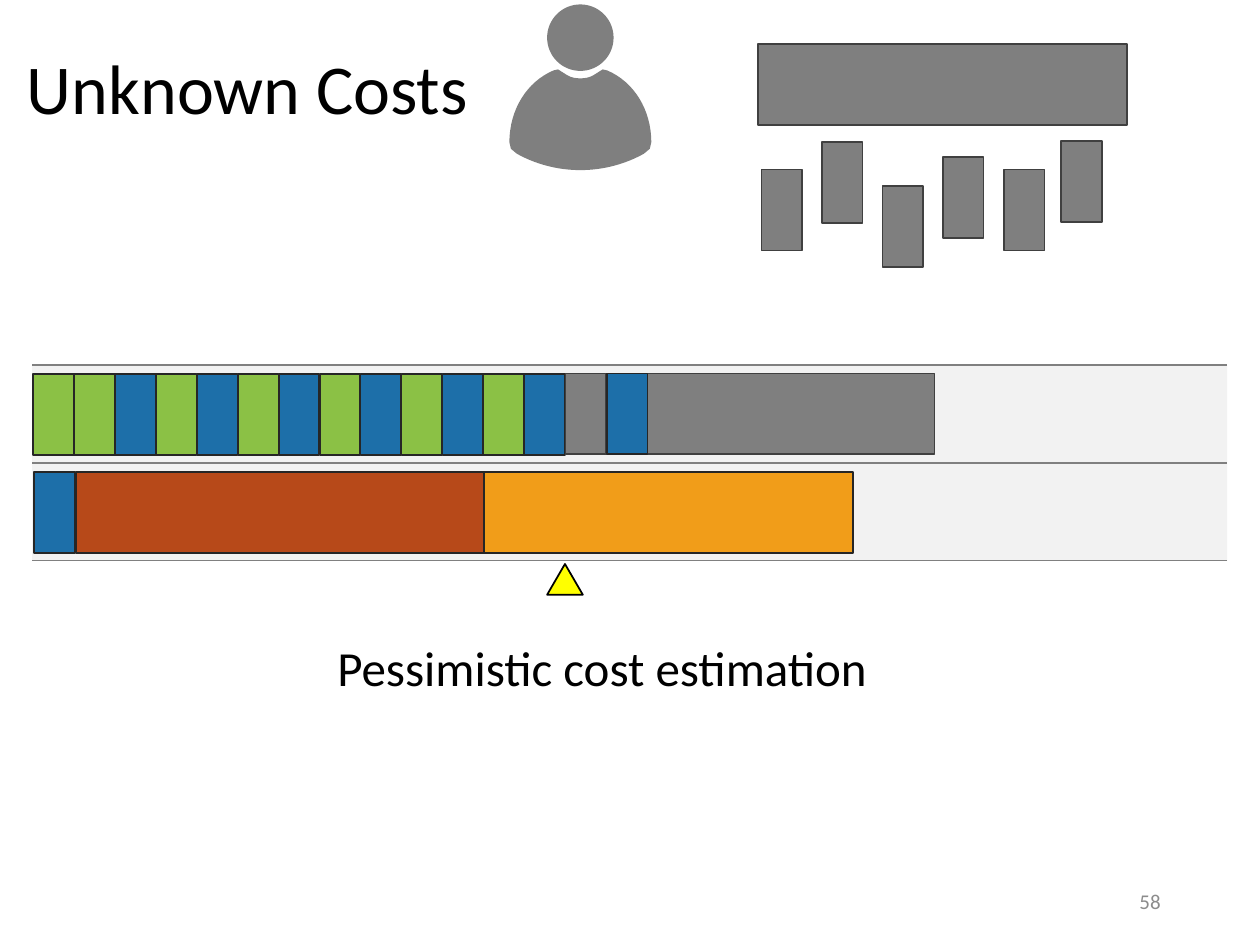
from dataclasses import dataclass
from typing import Any, NamedTuple

from lxml import etree
from pptx import Presentation
from pptx.dml.color import RGBColor
from pptx.enum import shapes as es, text as et
from pptx.oxml.ns import qn
from pptx.util import Cm, Pt


@dataclass(frozen=True)
class Theme:
    font: str = "Calibri"
    title: int = 40
    note: int = 28
    page: int = 12
    black: str = "000000"
    pale: str = "8C8C8C"
    track: str = "F2F2F2"
    rule: str = "808080"
    edge: str = "262626"
    dim: str = "404040"
    gray: str = "7F7F7F"
    green: str = "8BC145"
    blue: str = "1D6FA9"
    rust: str = "B74919"
    gold: str = "F19D19"
    mark: str = "FFFF00"


class Box(NamedTuple):
    x: float
    y: float
    w: float
    h: float


class Task(NamedTuple):
    box: Box
    fill: str
    edge: str | None


T = Theme()
STEP, CELL, HIGH, WIDE = 9.9 / 12, 0.82, 1.63, 7.44


def color(code: str) -> RGBColor:
    return RGBColor.from_string(code)


def paint(shape: Any, fill: str, edge: str | None) -> None:
    shape.shadow.inherit = False
    shape.fill.solid()
    shape.fill.fore_color.rgb = color(fill)
    if edge is None:
        shape.line.fill.background()
    else:
        shape.line.color.rgb = color(edge)
        shape.line.width = Pt(1)


def block(pool: Any, task: Task, kind: Any = es.MSO_SHAPE.RECTANGLE) -> None:
    shape = pool.add_shape(kind, *(Cm(n) for n in task.box))
    paint(shape, task.fill, task.edge)


def rule(pool: Any, x: float, y: float, w: float) -> None:
    line = pool.add_connector(es.MSO_CONNECTOR.STRAIGHT, Cm(x), Cm(y), Cm(x + w), Cm(y))
    line.line.color.rgb = color(T.rule)
    line.line.width = Pt(1)
    etree.SubElement(line._element.spPr, qn("a:effectLst"))


def write(shape: Any, box: Box, words: str, size: int, ink: str = T.black,
          side: Any = et.PP_ALIGN.LEFT, hold: Any = et.MSO_ANCHOR.TOP) -> None:
    shape.left, shape.top, shape.width, shape.height = (Cm(n) for n in box)
    frame = shape.text_frame
    frame.auto_size = et.MSO_AUTO_SIZE.NONE
    frame.word_wrap = False
    frame.vertical_anchor = hold
    para = frame.paragraphs[0]
    para.alignment = side
    run = para.add_run()
    run.text = words
    run.font.name = T.font
    run.font.size = Pt(size)
    run.font.color.rgb = color(ink)


def bend(shape: Any, kinds: str) -> None:
    """Turn line steps into the kinds named: L one line, C three steps as a curve."""
    steps = iter(list(shape._element.iter(qn("a:lnTo"))))
    for kind in kinds:
        step = next(steps)
        if kind == "C":
            step.tag = qn("a:cubicBezTo")
            for _ in range(2):
                more = next(steps)
                step.append(more[0])
                more.getparent().remove(more)


def person(pool: Any, mid: float) -> None:
    """Draw a round head above shoulders, both mirrored about the middle."""
    body = [(0, 1.58), (0.09, 1.58), (0.17, 1.57), (0.26, 1.52), (0.45, 1.4),
            (0.54, 1.42), (1.08, 1.65), (1.43, 2.21), (1.43, 2.87),
            (1.4, 3), (1.28, 3.1), (0.92, 3.3), (0.48, 3.43), (0, 3.43)]
    head = [(0, 0.09), (0.37, 0.09), (0.67, 0.39), (0.67, 0.76),
            (0.67, 1.13), (0.37, 1.43), (0, 1.43)]
    loops = []
    for half in (body, head):
        ring = half + [(-x, y) for x, y in half[-2::-1]]
        loops.append([((mid + x) * 100, y * 100) for x, y in ring])
    pen = pool.build_freeform(*loops[0][0], scale=Cm(1) / 100)
    pen.add_line_segments(loops[0][1:], close=True)
    pen.move_to(*loops[1][0])
    pen.add_line_segments(loops[1][1:], close=True)
    shape = pen.convert_to_shape()
    bend(shape, "CLLCLLC" * 2 + "CCCC")
    paint(shape, T.gray, None)


def main() -> None:
    deck = Presentation()
    deck.slide_width, deck.slide_height = Cm(25.4), Cm(19.05)
    slide = deck.slides.add_slide(deck.slide_layouts[5])
    pool = slide.shapes
    left, top, low = 0.67, 7.54, 9.52

    lanes = pool.add_group_shape().shapes
    block(lanes, Task(Box(0.65, 7.36, 24.09, 3.95), T.track, None))
    for i in range(3):
        rule(lanes, 0.65, 7.36 + i * 1.97, 24.09)

    block(pool, Task(Box(1.53, low, 8.24, HIGH), T.rust, T.edge))
    block(pool, Task(Box(0.69, low, CELL, HIGH), T.blue, T.edge))
    block(pool, Task(Box(9.76, low, WIDE, HIGH), T.gold, T.edge))
    for i, fill in enumerate([T.green] + [T.green, T.blue] * 6):
        block(pool, Task(Box(left + i * STEP, top, CELL, HIGH), fill, T.edge))

    person(pool, 11.7)
    block(pool, Task(Box(11.03, 11.37, 0.72, 0.62), T.mark, T.black),
          es.MSO_SHAPE.ISOSCELES_TRIANGLE)

    block(pool, Task(Box(15.28, 0.89, WIDE, HIGH), T.gray, T.dim))
    queue = pool.add_group_shape().shapes
    for x, y in ((15.35, 3.42), (16.57, 2.87), (17.79, 3.75),
                 (19.01, 3.17), (20.24, 3.42), (21.39, 2.84)):
        block(queue, Task(Box(x, y, CELL, HIGH), T.gray, T.dim))

    for x, w, fill, edge in ((11.4, WIDE, T.gray, T.dim),
                             (11.4, CELL, T.gray, T.dim),
                             (11.41 + STEP, CELL, T.blue, T.edge)):
        block(pool, Task(Box(x, 7.53, w, HIGH), fill, edge))

    write(pool.title, Box(0.29, 0.77, 9.5, 1.96), "Unknown Costs", T.title)
    note, page = (pool.add_textbox(0, 0, 0, 0) for _ in range(2))
    write(note, Box(6.55, 12.73, 11.33, 2.64), "Pessimistic cost estimation", T.note)
    write(page, Box(17.93, 17.65, 5.72, 1.02), "58", T.page, T.pale,
          et.PP_ALIGN.RIGHT, et.MSO_ANCHOR.MIDDLE)
    deck.save("out.pptx")


if __name__ == "__main__":
    main()
